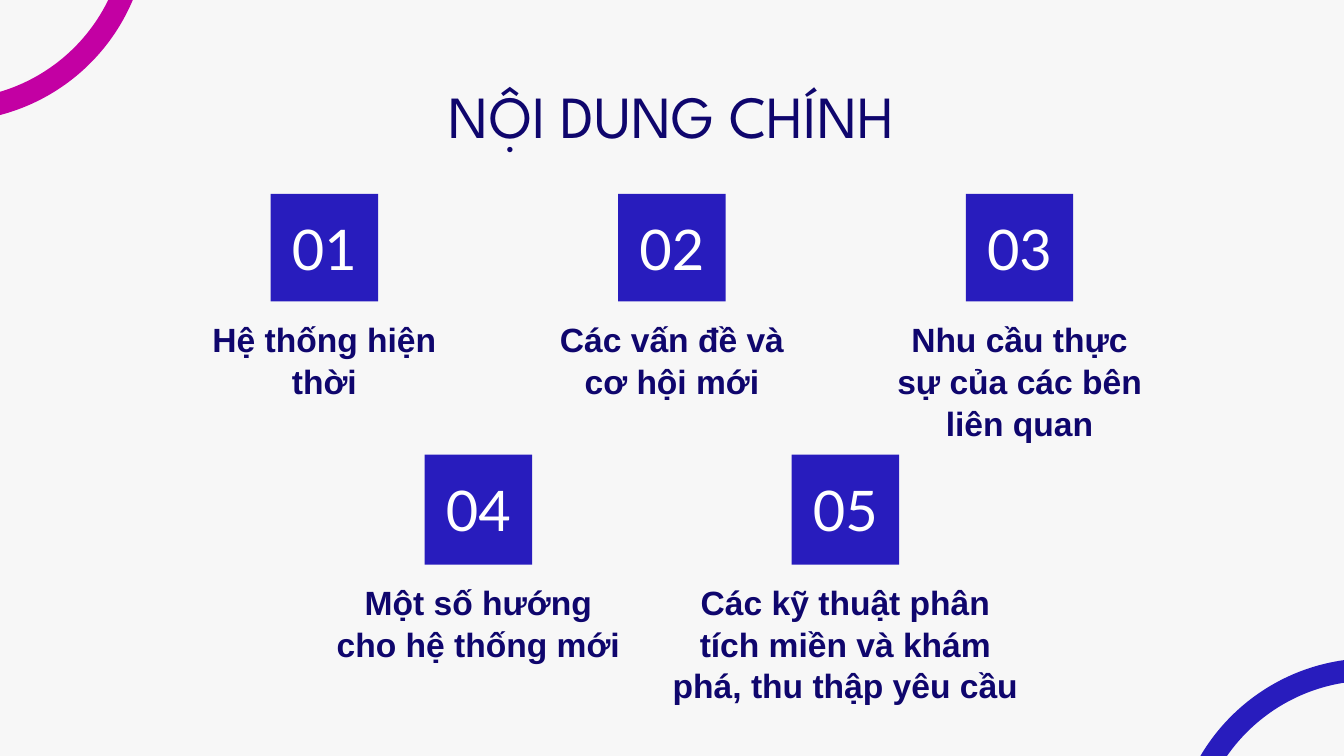
"""Builds the agenda slide: a title and five numbered topics in two rows."""
from pptx import Presentation
from pptx.dml.color import RGBColor
from pptx.enum.shapes import MSO_SHAPE
from pptx.enum.text import MSO_ANCHOR, PP_ALIGN
from pptx.util import Pt

TITLE = "NỘI DUNG CHÍNH"
ROWS = [
    {
        "first_center": 173.8, "step": 186.2, "top": 103.9,
        "badge_height": 57.6, "caption_top": 162.7,
        "topics": [
            ("01", "Hệ thống hiện thời", 150.5),
            ("02", "Các vấn đề và cơ hội mới", 150.5),
            ("03", "Nhu cầu thực sự của các bên liên quan", 150.5),
        ],
    },
    {
        "first_center": 256.3, "step": 196.6, "top": 243.5,
        "badge_height": 59, "caption_top": 303.5,
        "topics": [
            ("04", "Một số hướng cho hệ thống mới", 172),
            ("05", "Các kỹ thuật phân tích miền và khám phá, thu thập yêu cầu", 206),
        ],
    },
]
RINGS = [(634.3, 358.6, "blue"), (-127.4, -141.8, "magenta")]
RING_SIZE, RING_LINE = 200.9, 12
BADGE_WIDTH, CAPTION_HEIGHT, INSET = 57.6, 59, 7.2

THEME = {
    "paper": RGBColor.from_string("F7F7F7"),
    "blue": RGBColor.from_string("281CBD"),
    "magenta": RGBColor.from_string("C300A3"),
    "title": ("League Spartan", 32, False, RGBColor.from_string("0F066D")),
    "number": ("Lato", 30, False, RGBColor.from_string("FFFFFF")),
    "caption": ("Arial", 18, True, RGBColor.from_string("0F066D")),
}


def write(holder, wording, style, anchor=MSO_ANCHOR.TOP, spacing=1.0):
    frame = holder.text_frame
    frame.word_wrap = True
    frame.vertical_anchor = anchor
    frame.margin_left = frame.margin_right = Pt(INSET)
    frame.margin_top = frame.margin_bottom = Pt(INSET)
    paragraph = frame.paragraphs[0]
    paragraph.alignment = PP_ALIGN.CENTER
    paragraph.line_spacing = spacing
    run = paragraph.add_run()
    run.text = wording
    name, size, bold, color = THEME[style]
    run.font.name, run.font.size, run.font.bold = name, Pt(size), bold
    run.font.color.rgb = color


def add_ring(slide, left, top, color):
    ring = slide.shapes.add_shape(
        MSO_SHAPE.OVAL, Pt(left), Pt(top), Pt(RING_SIZE), Pt(RING_SIZE))
    ring.shadow.inherit = False
    ring.fill.background()
    ring.line.color.rgb = THEME[color]
    ring.line.width = Pt(RING_LINE)


def add_badge(slide, center, top, height, number):
    badge = slide.shapes.add_shape(
        MSO_SHAPE.RECTANGLE, Pt(center - BADGE_WIDTH / 2), Pt(top),
        Pt(BADGE_WIDTH), Pt(height))
    badge.shadow.inherit = False
    badge.fill.solid()
    badge.fill.fore_color.rgb = THEME["blue"]
    badge.line.fill.background()
    write(badge, number, "number", MSO_ANCHOR.MIDDLE)


def add_caption(slide, center, top, width, wording):
    caption = slide.shapes.add_textbox(
        Pt(center - width / 2), Pt(top), Pt(width), Pt(CAPTION_HEIGHT))
    write(caption, wording, "caption", spacing=1.04)


def main():
    deck = Presentation()
    deck.slide_width, deck.slide_height = Pt(720), Pt(405)
    slide = deck.slides.add_slide(deck.slide_layouts[6])
    slide.background.fill.solid()
    slide.background.fill.fore_color.rgb = THEME["paper"]

    for left, top, color in RINGS:
        add_ring(slide, left, top, color)

    heading = slide.shapes.add_textbox(Pt(56.7), Pt(35.3), Pt(606.6), Pt(45.4))
    write(heading, TITLE, "title")

    for row in ROWS:
        for column, (number, wording, width) in enumerate(row["topics"]):
            center = row["first_center"] + column * row["step"]
            add_badge(slide, center, row["top"], row["badge_height"], number)
            add_caption(slide, center, row["caption_top"], width, wording)

    deck.save("out.pptx")


if __name__ == "__main__":
    main()
